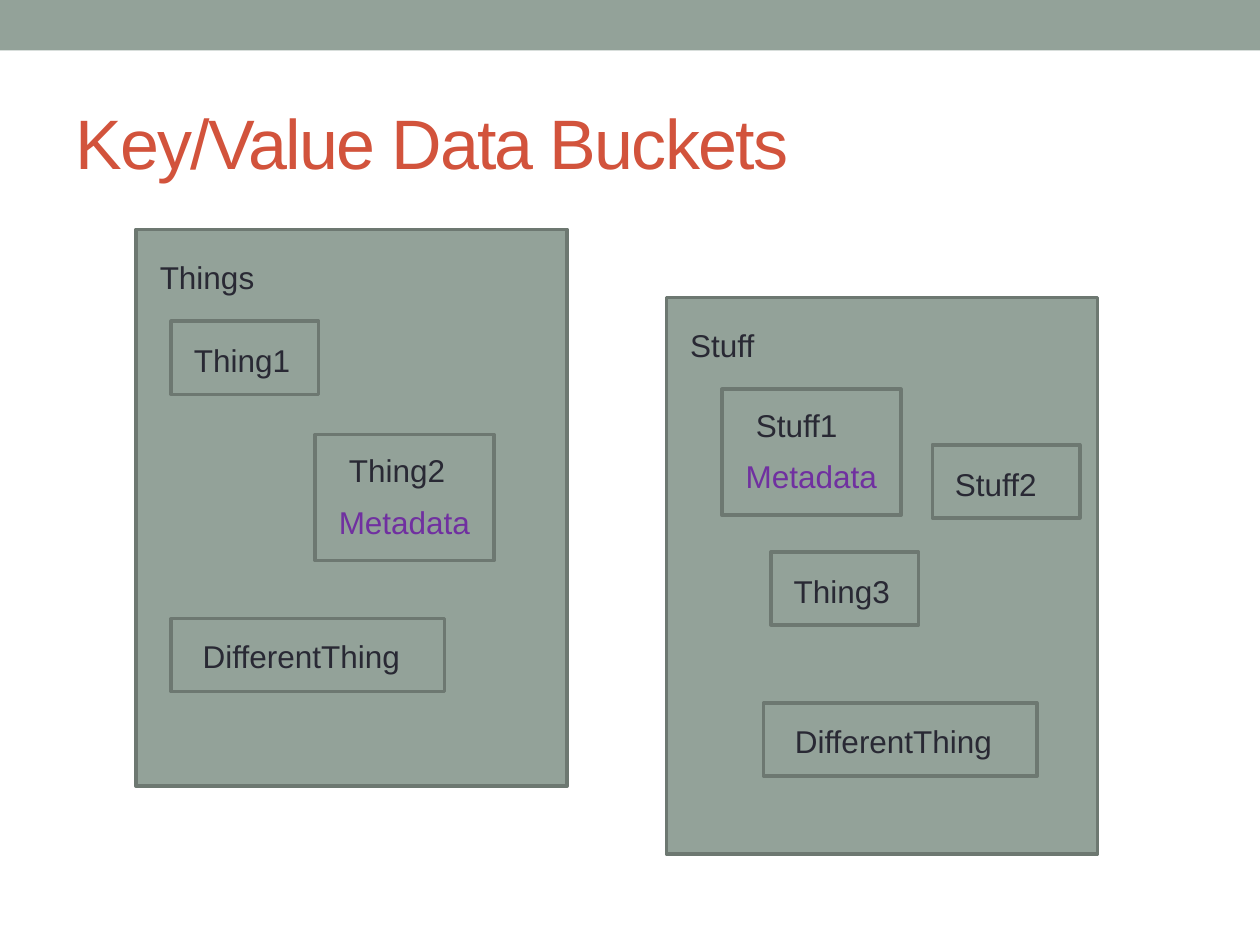
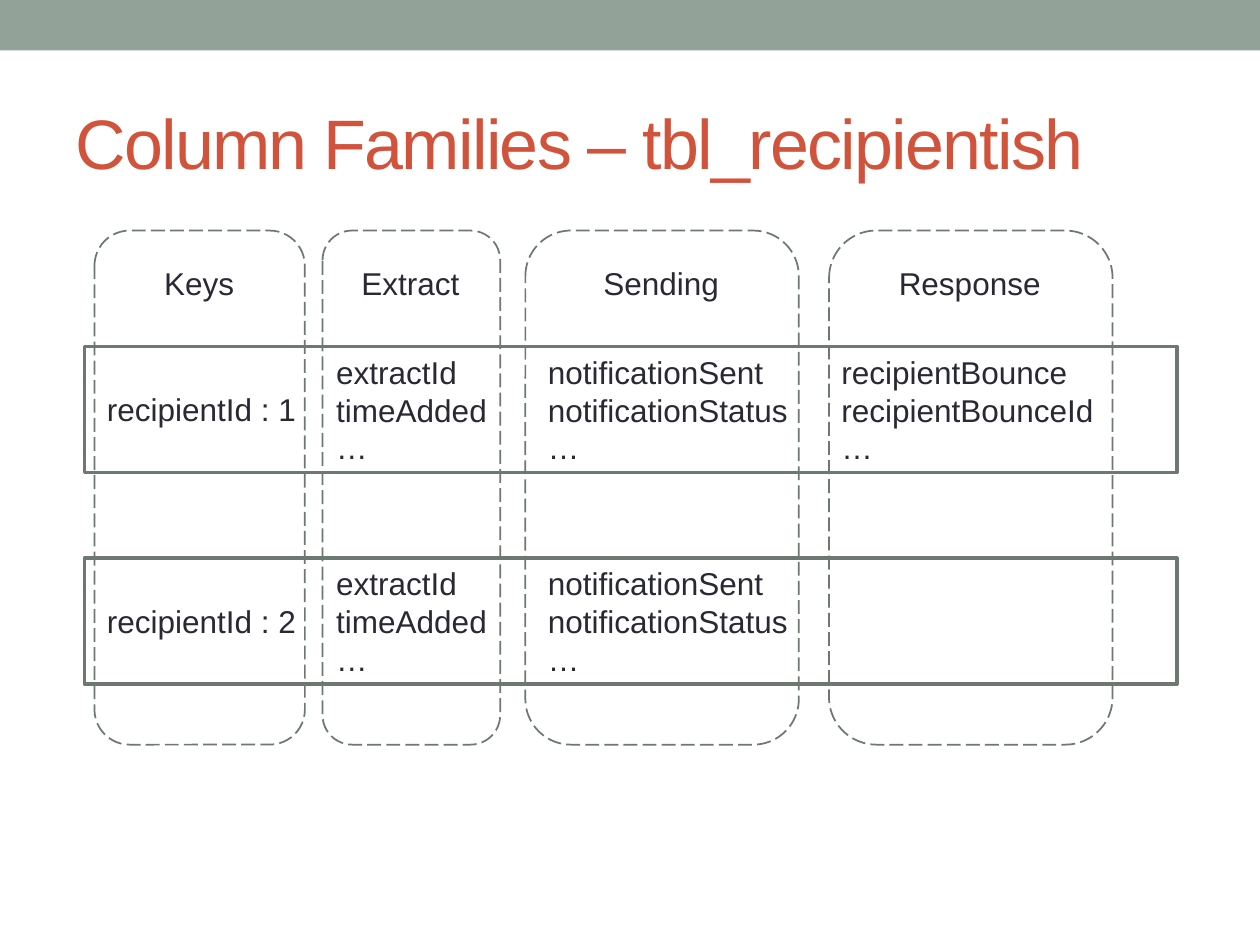
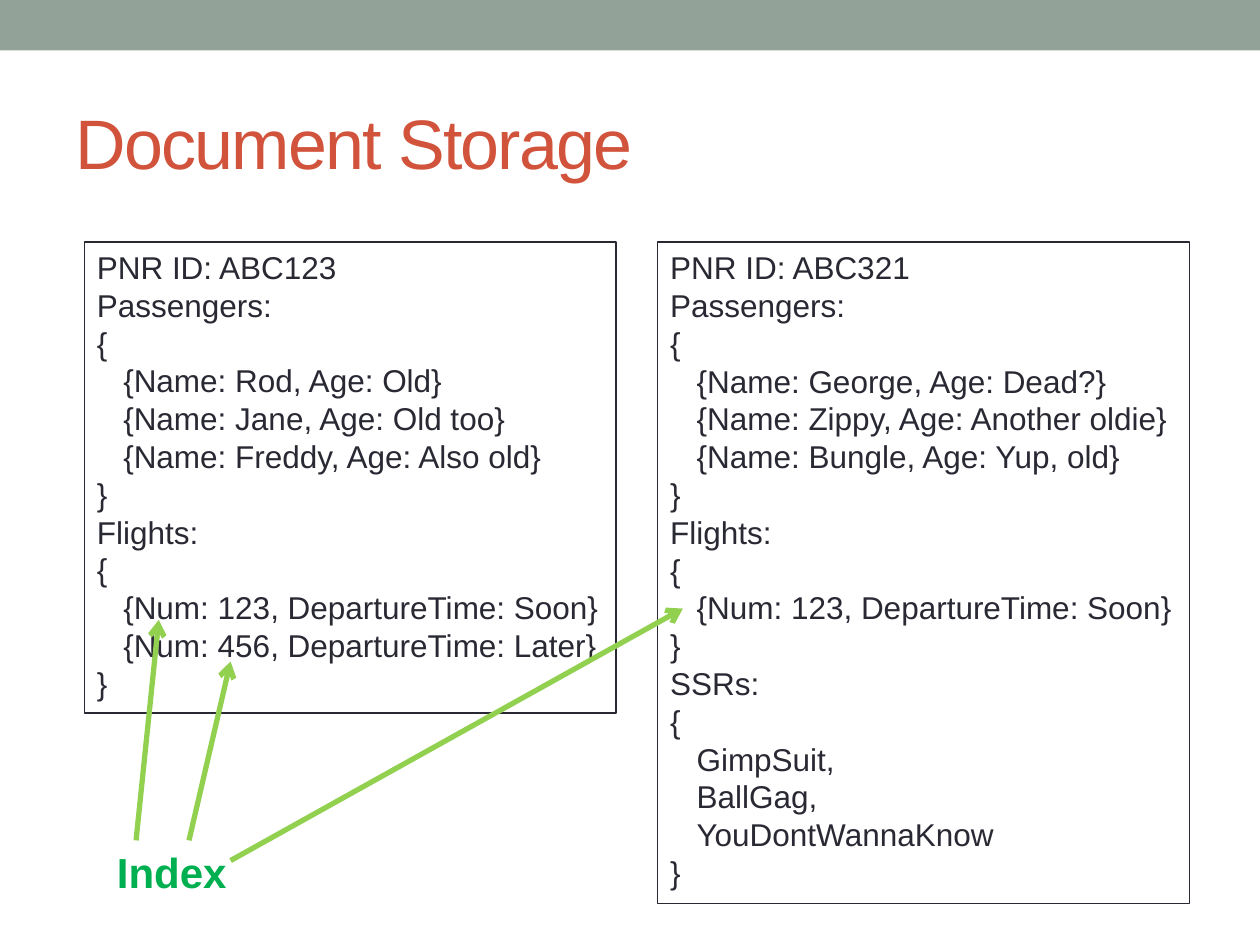
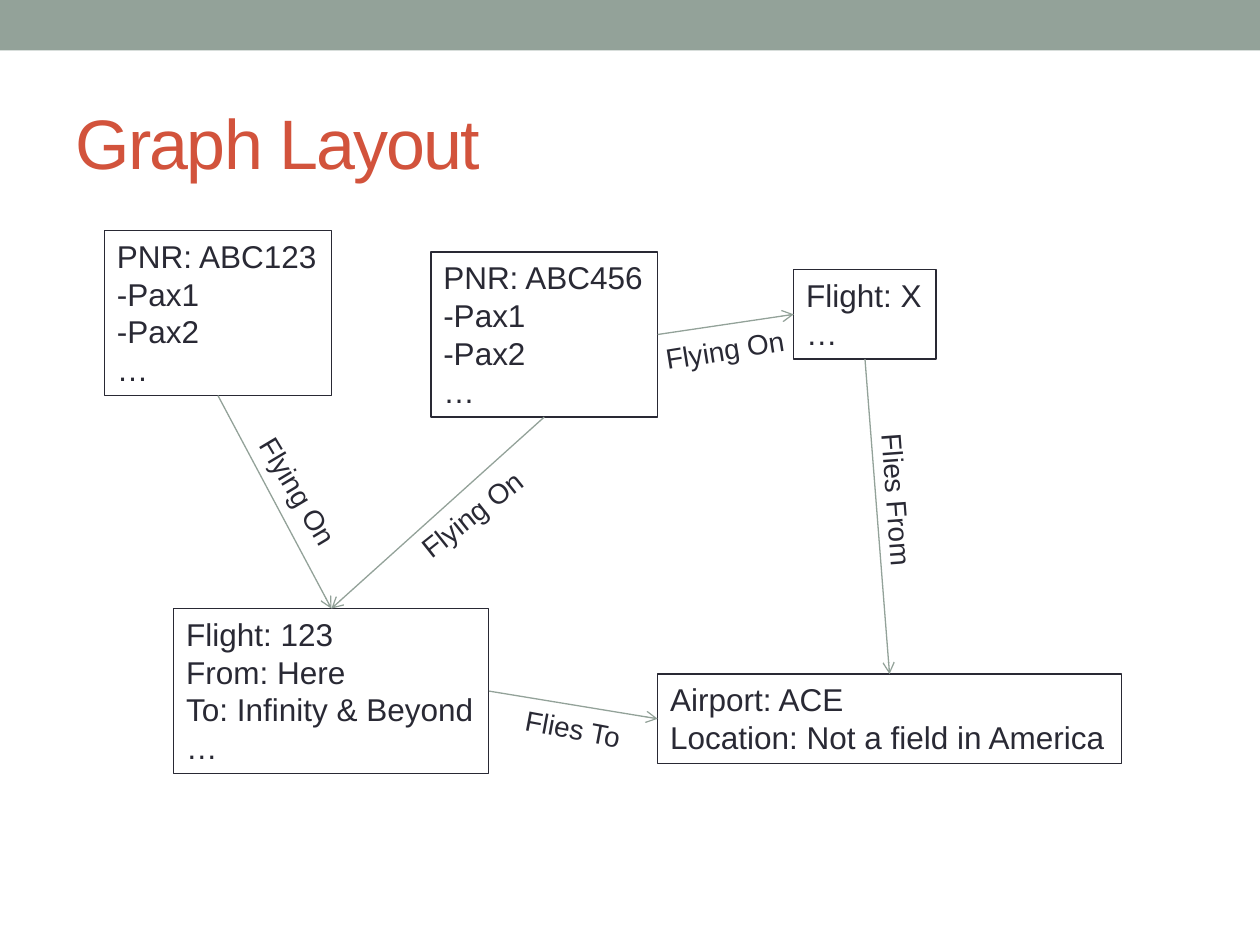
from dataclasses import dataclass
from typing import Any

import lxml.etree
import pptx
import pptx.dml.color
import pptx.enum.dml
import pptx.enum.shapes
import pptx.enum.text
import pptx.oxml.ns
import pptx.util
from pptx.util import Inches

FONT = "Arial"
SAGE = "93A299"
SLATE = "6D7871"
INK = "292934"
RUST = "D2533C"
PURPLE = "7030A0"
GREEN = "00B050"
LIME = "92D050"

TITLE_ONLY = 5
LINE_HEIGHT = 0.4
CODE_INDENT = 0.21
BOTTOM, LEFT, RIGHT, TOP = 2, 1, 3, 0


@dataclass(frozen=True)
class Area:
    left: float
    top: float
    width: float
    height: float

    def lengths(self) -> tuple[int, ...]:
        return tuple(Inches(v) for v in (self.left, self.top, self.width, self.height))


@dataclass(frozen=True)
class Caption:
    """A line of text placed relative to the box that holds it."""
    dx: float
    dy: float
    width: float
    color: str = INK


@dataclass(frozen=True)
class ItemKind:
    width: float
    height: float
    captions: tuple[Caption, ...]


@dataclass(frozen=True)
class Item:
    kind: ItemKind
    left: float
    top: float
    lines: tuple[str, ...]


@dataclass(frozen=True)
class Bucket:
    name: str
    left: float
    top: float
    items: tuple[Item, ...]


@dataclass(frozen=True)
class Family:
    name: str
    left: float
    width: float
    name_width: float


@dataclass(frozen=True)
class Cell:
    text: str
    left: float
    width: float
    dy: float = 0
    wrap: bool = True


@dataclass(frozen=True)
class Edge:
    start: str
    start_side: int
    end: str
    end_side: int
    label: str
    area: Area
    angle: float


SMALL = ItemKind(1.17, 0.58, (Caption(0.08, 0.11, 1.08),))
WIDE = ItemKind(2.17, 0.58, (Caption(0.15, 0.1, 2.01),))
TAGGED = ItemKind(1.42, 1, (Caption(0.17, 0.08, 1.08), Caption(0.09, 0.49, 1.25, PURPLE)))

BUCKETS = (
    Bucket("Things", 1.08, 1.82, (
        Item(SMALL, 1.36, 2.55, ("Thing1",)),
        Item(TAGGED, 2.5, 3.45, ("Thing2", "Metadata")),
        Item(WIDE, 1.36, 4.91, ("DifferentThing",)),
    )),
    Bucket("Stuff", 5.29, 2.36, (
        Item(SMALL, 7.4, 3.53, ("Stuff2",)),
        Item(TAGGED, 5.73, 3.09, ("Stuff1", "Metadata")),
        Item(WIDE, 6.06, 5.58, ("DifferentThing",)),
        Item(SMALL, 6.12, 4.38, ("Thing3",)),
    )),
)

FAMILIES = (
    Family("Keys", 0.75, 1.67, 0.76),
    Family("Extract", 2.56, 1.41, 0.99),
    Family("Sending", 4.17, 2.17, 1.13),
    Family("Response", 6.58, 2.25, 1.34),
)

SHARED_CELLS = (
    Cell("extractId\ntimeAdded\n…", 2.57, 1.41, wrap=False),
    Cell("notificationSent\nnotificationStatus\n…", 4.25, 2.17),
)
BOUNCE_CELL = Cell("recipientBounce\nrecipientBounceId\n…", 6.58, 2.25)
ROWS = (
    (2.75, (Cell("recipientId : 1", 0.75, 1.82, 0.3), *SHARED_CELLS, BOUNCE_CELL)),
    (4.43, (Cell("recipientId : 2", 0.75, 1.82, 0.3), *SHARED_CELLS)),
)

DOCUMENTS = (
    (Area(0.67, 1.92, 4.22, 3.74), """PNR ID: ABC123
Passengers:
{
   {Name: Rod, Age: Old}
   {Name: Jane, Age: Old too}
   {Name: Freddy, Age: Also old}
}
Flights:
{
   {Num: 123, DepartureTime: Soon}
   {Num: 456, DepartureTime: Later}
}"""),
    (Area(5.22, 1.92, 4.22, 5.25), """PNR ID: ABC321
Passengers:
{
   {Name: George, Age: Dead?}
   {Name: Zippy, Age: Another oldie}
   {Name: Bungle, Age: Yup, old}
}
Flights:
{
   {Num: 123, DepartureTime: Soon}
}
SSRs:
{
   GimpSuit,
   BallGag,
   YouDontWannaKnow
}"""),
)
INDEX_ARROWS = (
    (1.08, 6.67, 1.26, 4.92),
    (1.5, 6.67, 1.83, 5.25),
    (1.83, 6.83, 5.42, 4.83),
)

NODES = {
    "booking 123": (Area(0.83, 1.83, 1.8, 1.31), "PNR: ABC123\n-Pax1\n-Pax2\n…"),
    "booking 456": (Area(3.42, 2, 1.8, 1.31), "PNR: ABC456\n-Pax1\n-Pax2\n…"),
    "flight 123": (Area(1.38, 4.83, 2.5, 1.31),
                   "Flight: 123\nFrom: Here\nTo: Infinity & Beyond\n…"),
    "flight X": (Area(6.3, 2.14, 1.13, 0.71), "Flight: X\n…"),
    "airport": (Area(5.22, 5.35, 3.68, 0.71),
                "Airport: ACE\nLocation: Not a field in America"),
}
EDGES = (
    Edge("booking 123", BOTTOM, "flight 123", TOP, "Flying On",
         Area(1.79, 3.72, 1.16, 0.37), 59.1),
    Edge("booking 456", BOTTOM, "flight 123", TOP, "Flying On",
         Area(3.17, 3.89, 1.16, 0.37), 321.5),
    Edge("booking 456", RIGHT, "flight X", LEFT, "Flying On",
         Area(5.18, 2.59, 1.16, 0.37), 350.9),
    Edge("flight 123", RIGHT, "airport", LEFT, "Flies To",
         Area(4.07, 5.6, 0.97, 0.37), 10.7),
    Edge("flight X", BOTTOM, "airport", TOP, "Flies From",
         Area(6.49, 3.79, 1.26, 0.37), 85.8),
)


def rgb(color: str) -> pptx.dml.color.RGBColor:
    return pptx.dml.color.RGBColor.from_string(color)


def set_line(line: Any, color: str, width: float) -> None:
    line.color.rgb = rgb(color)
    line.width = pptx.util.Pt(width)


def style_span(span: Any, size: float, color: str, bold: bool = False) -> None:
    span.font.name = FONT
    span.font.size = pptx.util.Pt(size)
    span.font.bold = bold
    span.font.color.rgb = rgb(color)


def add_box(shapes: Any, area: Area, fill: str | None = None, line: str | None = None,
            width: float = 2.08, rounded: bool = False) -> Any:
    kinds = pptx.enum.shapes.MSO_SHAPE
    kind = kinds.ROUNDED_RECTANGLE if rounded else kinds.RECTANGLE
    box = shapes.add_shape(kind, *area.lengths())
    box.shadow.inherit = False
    if fill:
        box.fill.solid()
        box.fill.fore_color.rgb = rgb(fill)
    else:
        box.fill.background()
    if line:
        set_line(box.line, line, width)
    else:
        box.line.fill.background()
    return box


def add_text(shapes: Any, area: Area, text: str, size: float = 18, color: str = INK,
             bold: bool = False, wrap: bool = False, framed: bool = False) -> Any:
    """Add a text box; a line that starts with a space is indented."""
    box = shapes.add_textbox(*area.lengths())
    frame = box.text_frame
    frame.word_wrap = wrap
    frame.auto_size = pptx.enum.text.MSO_AUTO_SIZE.SHAPE_TO_FIT_TEXT
    lines = text.split("\n")
    frame.text = "\n".join(line.strip() for line in lines)
    for line, para in zip(lines, frame.paragraphs):
        if line.startswith(" "):
            para._p.get_or_add_pPr().set("marL", str(Inches(CODE_INDENT)))
        for span in para.runs:
            style_span(span, size, color, bold)
    if framed:
        set_line(box.line, INK, 0.75)
    return box


def add_arrow(page: Any, ends: tuple[float, ...], color: str, width: float) -> Any:
    straight = pptx.enum.shapes.MSO_CONNECTOR.STRAIGHT
    arrow = page.shapes.add_connector(straight, *(Inches(v) for v in ends))
    set_line(arrow.line, color, width)
    properties = arrow.element.spPr
    qn = pptx.oxml.ns.qn
    lxml.etree.SubElement(properties.find(qn("a:ln")), qn("a:tailEnd"), type="arrow")
    lxml.etree.SubElement(properties, qn("a:effectLst"))
    return arrow


def add_page(deck: Any, heading: str) -> Any:
    """Add a slide with the top band and its title."""
    page = deck.slides.add_slide(deck.slide_layouts[TITLE_ONLY])
    add_box(page.shapes, Area(0, 0, 10, 0.4), fill=SAGE)
    title = page.shapes.title
    title.left, title.top, title.width, title.height = Area(0.5, 0.58, 9, 1.08).lengths()
    frame = title.text_frame
    frame.text = heading
    frame.auto_size = pptx.enum.text.MSO_AUTO_SIZE.NONE
    frame.vertical_anchor = pptx.enum.text.MSO_ANCHOR.MIDDLE
    para = frame.paragraphs[0]
    para.alignment = pptx.enum.text.PP_ALIGN.LEFT
    span = para.runs[0]
    style_span(span, 40, RUST)
    span._r.get_or_add_rPr().set("spc", "-100")
    return page


def add_item(page: Any, item: Item) -> None:
    shapes = page.shapes.add_group_shape().shapes
    kind = item.kind
    add_box(shapes, Area(item.left, item.top, kind.width, kind.height), SAGE, SLATE)
    for caption, text in zip(kind.captions, item.lines):
        area = Area(item.left + caption.dx, item.top + caption.dy, caption.width, LINE_HEIGHT)
        add_text(shapes, area, text, color=caption.color, wrap=True)


def build_buckets(deck: Any) -> None:
    page = add_page(deck, "Key/Value Data Buckets")
    for bucket in BUCKETS:
        add_box(page.shapes, Area(bucket.left, bucket.top, 3.42, 4.42), SAGE, SLATE)
        name_area = Area(bucket.left + 0.09, bucket.top + 0.18, 2.67, LINE_HEIGHT)
        add_text(page.shapes, name_area, bucket.name, wrap=True)
        for item in bucket.items:
            add_item(page, item)


def build_families(deck: Any) -> None:
    page = add_page(deck, "Column Families – tbl_recipientish")
    for top, cells in ROWS:
        shapes = page.shapes.add_group_shape().shapes
        add_box(shapes, Area(0.67, top, 8.67, 1), line=SLATE)
        for cell in cells:
            height = 1.01 if "\n" in cell.text else LINE_HEIGHT
            area = Area(cell.left, top + cell.dy, cell.width, height)
            add_text(shapes, area, cell.text, wrap=cell.wrap)
    for family in FAMILIES:
        column = add_box(page.shapes, Area(family.left, 1.83, family.width, 4.08),
                         line=SLATE, width=1, rounded=True)
        column.line.dash_style = pptx.enum.dml.MSO_LINE.LONG_DASH
        name_left = family.left + (family.width - family.name_width) / 2
        add_text(page.shapes, Area(name_left, 2.05, family.name_width, LINE_HEIGHT), family.name)


def build_documents(deck: Any) -> None:
    page = add_page(deck, "Document Storage")
    for area, text in DOCUMENTS:
        add_text(page.shapes, area, text, framed=True)
    add_text(page.shapes, Area(0.83, 6.67, 1.08, 0.5), "Index", 24, GREEN, bold=True)
    for ends in INDEX_ARROWS:
        add_arrow(page, ends, LIME, 3)


def build_graph(deck: Any) -> None:
    page = add_page(deck, "Graph Layout")
    nodes = {key: add_text(page.shapes, area, text, framed=True)
             for key, (area, text) in NODES.items()}
    for edge in EDGES:
        arrow = add_arrow(page, (0, 0, 1, 1), SAGE, 0.75)
        arrow.begin_connect(nodes[edge.start], edge.start_side)
        arrow.end_connect(nodes[edge.end], edge.end_side)
        add_text(page.shapes, edge.area, edge.label, 16).rotation = edge.angle


def main() -> None:
    deck = pptx.Presentation()
    deck.slide_width, deck.slide_height = Inches(10), Inches(7.5)
    build_buckets(deck)
    build_families(deck)
    build_documents(deck)
    build_graph(deck)
    deck.save("out.pptx")


if __name__ == "__main__":
    main()
